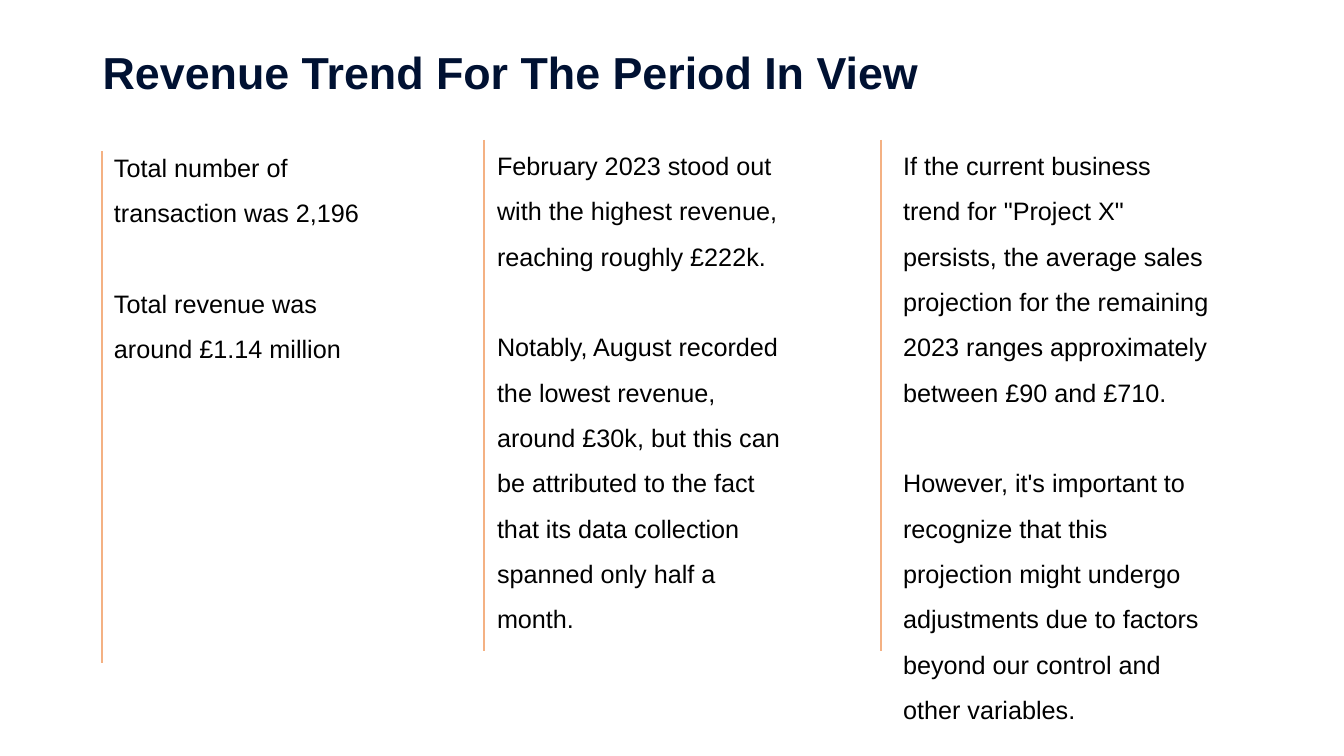
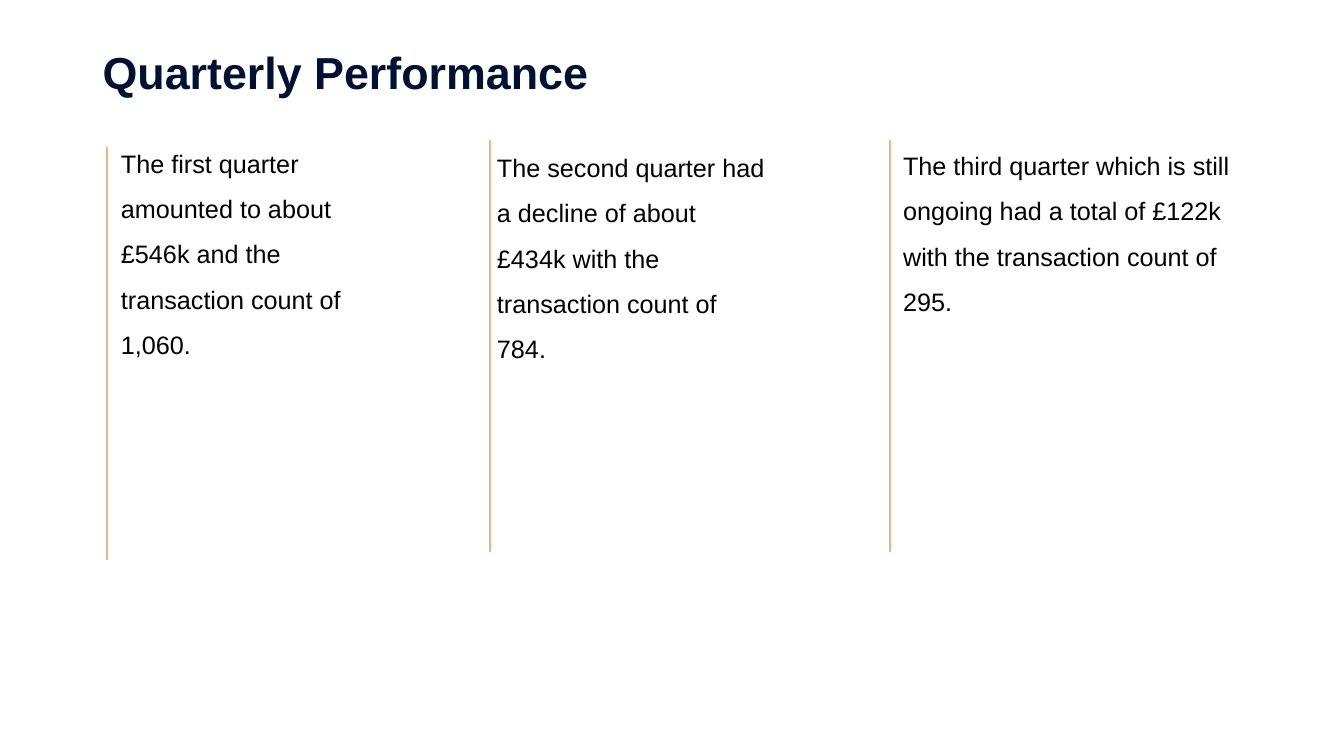
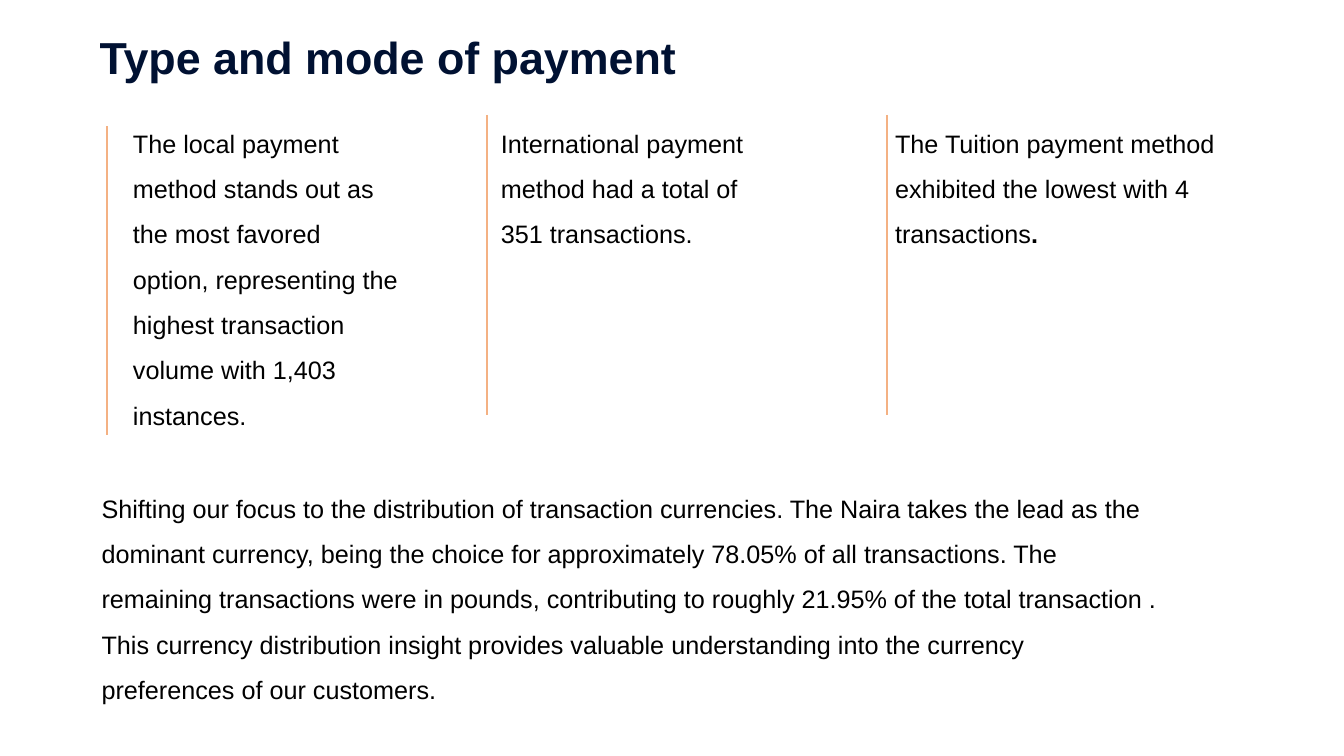
from pptx import Presentation
from pptx.dml.color import RGBColor
from pptx.enum.shapes import MSO_CONNECTOR
from pptx.enum.text import MSO_ANCHOR
from pptx.oxml.ns import qn
from pptx.util import Pt
from lxml import etree

STRAIGHT = MSO_CONNECTOR.STRAIGHT
TOP, MIDDLE = MSO_ANCHOR.TOP, MSO_ANCHOR.MIDDLE

FONT = "Arial"
NAVY, BLACK, ORANGE, WHITE = "001132", "000000", "F4B183", "FFFFFF"
TITLE_SIZE, BODY_SIZE = 32, 18
TITLE_BOX = (66.24, 7.2, 828, 92.16)
COLUMN_MARGINS = (21.6, 7.2, 10.8, 7.2)
TEXT_MARGINS = (7.2, 3.6, 7.2, 3.6)
PARAGRAPH_GAP = 32.4

# Each column: divider (x, top, length), text box (x, y, width, height), paragraphs
REVENUE = [
    ((72.7, 108, 365.6), (59.8, 90.7, 209.5, 272),
     ["Total number of transaction was 2,196",
      "Total revenue was around £1.14 million"]),
    ((345.6, 100, 365.2), (333.4, 89.3, 241.2, 410),
     ["February 2023 stood out with the highest revenue, reaching roughly £222k.",
      "Notably, August recorded the lowest revenue, around £30k, but this can be "
      "attributed to the fact that its data collection spanned only half a month."]),
    ((629.3, 100, 365.2), (623.5, 89.3, 252, 443),
     ["If the current business trend for \"Project X\" persists, the average sales "
      "projection for the remaining 2023 ranges approximately between £90 and £710.",
      "However, it's important to recognize that this projection might undergo "
      "adjustments due to factors beyond our control and other variables."]),
]
QUARTERS = [
    ((76.3, 105.2, 295), (64.8, 87.8, 209.5, 263),
     ["The first quarter amounted to about £546k and the transaction count of 1,060."]),
    ((349.9, 100, 294.6), (333.4, 90.7, 228.2, 255),
     ["The second quarter had a decline of about £434k with the transaction count "
      "of 784."]),
    ((635.8, 100, 294.6), (623.5, 89.3, 276.5, 243),
     ["The third quarter which is still ongoing had a total of £122k with the "
      "transaction count of 295."]),
]
PAYMENTS = [
    ((76.3, 90, 221), (73.4, 73.4, 222.5, 255),
     ["The local payment method stands out as the most favored option, representing "
      "the highest transaction volume with 1,403 instances."]),
    ((347.8, 82, 214.6), (336.2, 73.4, 228.2, 253),
     ["International payment method had a total of 351 transactions."]),
    ((633.6, 82, 214.6), (617.8, 73.4, 276.5, 238),
     ["The Tuition payment method exhibited the lowest with 4 transactions"]),
]
CURRENCIES = (
    "Shifting our focus to the distribution of transaction currencies. The Naira takes "
    "the lead as the dominant currency, being the choice for approximately 78.05% of all "
    "transactions. The remaining transactions were in pounds, contributing to roughly "
    "21.95% of the total transaction . This currency distribution insight provides "
    "valuable understanding into the currency preferences of our customers.")


def rgb(value):
    """Turn a hex string into a colour."""
    return RGBColor.from_string(value)


def style(r, size=BODY_SIZE, color=BLACK, bold=False):
    """Format one run."""
    r.font.name = FONT
    r.font.size = Pt(size)
    r.font.bold = bold
    r.font.color.rgb = rgb(color)


def add_text(s, box, paragraphs, margins=TEXT_MARGINS, spacing=1.5, anchor=TOP, **font):
    """Add a wrapped text box and return its text frame."""
    tf = s.shapes.add_textbox(*map(Pt, box)).text_frame
    tf.word_wrap = True
    tf.vertical_anchor = anchor
    tf.margin_left, tf.margin_top, tf.margin_right, tf.margin_bottom = map(Pt, margins)
    for i, text in enumerate(paragraphs):
        p = tf.add_paragraph() if i else tf.paragraphs[0]
        p.text = text
        p.line_spacing = spacing
        p.space_before = Pt(PARAGRAPH_GAP if i else 0)
        style(p.runs[0], **font)
    return tf


def add_divider(s, x, top, length):
    """Add a thin vertical line."""
    line = s.shapes.add_connector(STRAIGHT, Pt(x), Pt(top), Pt(x), Pt(top + length))
    line.line.color.rgb = rgb(ORANGE)
    line.line.width = Pt(1.5)
    etree.SubElement(line._element.spPr, qn("a:effectLst"))


def add_column_slide(prs, title, columns, title_box=TITLE_BOX):
    """Add a titled slide with columns; return it and its column text frames."""
    s = prs.slides.add_slide(prs.slide_layouts[6])
    s.background.fill.solid()
    s.background.fill.fore_color.rgb = rgb(WHITE)
    add_text(s, title_box, [title], spacing=0.9, anchor=MIDDLE,
             size=TITLE_SIZE, color=NAVY, bold=True)
    frames = []
    for divider, box, paragraphs in columns:
        add_divider(s, *divider)
        frames.append(add_text(s, box, paragraphs, COLUMN_MARGINS))
    return s, frames


def main():
    """Build and save the presentation."""
    prs = Presentation()
    prs.slide_width, prs.slide_height = Pt(960), Pt(540)

    add_column_slide(prs, "Revenue Trend For The Period In View", REVENUE)
    add_column_slide(prs, "Quarterly Performance", QUARTERS)

    s, frames = add_column_slide(prs, "Type and mode of payment", PAYMENTS,
                                 (64, 15.1, 830, 55.4))
    r = frames[-1].paragraphs[0].add_run()
    r.text = "."
    style(r, bold=True)
    add_text(s, (65.5, 337.7, 770.4, 193), [CURRENCIES])

    prs.save("out.pptx")


main()
